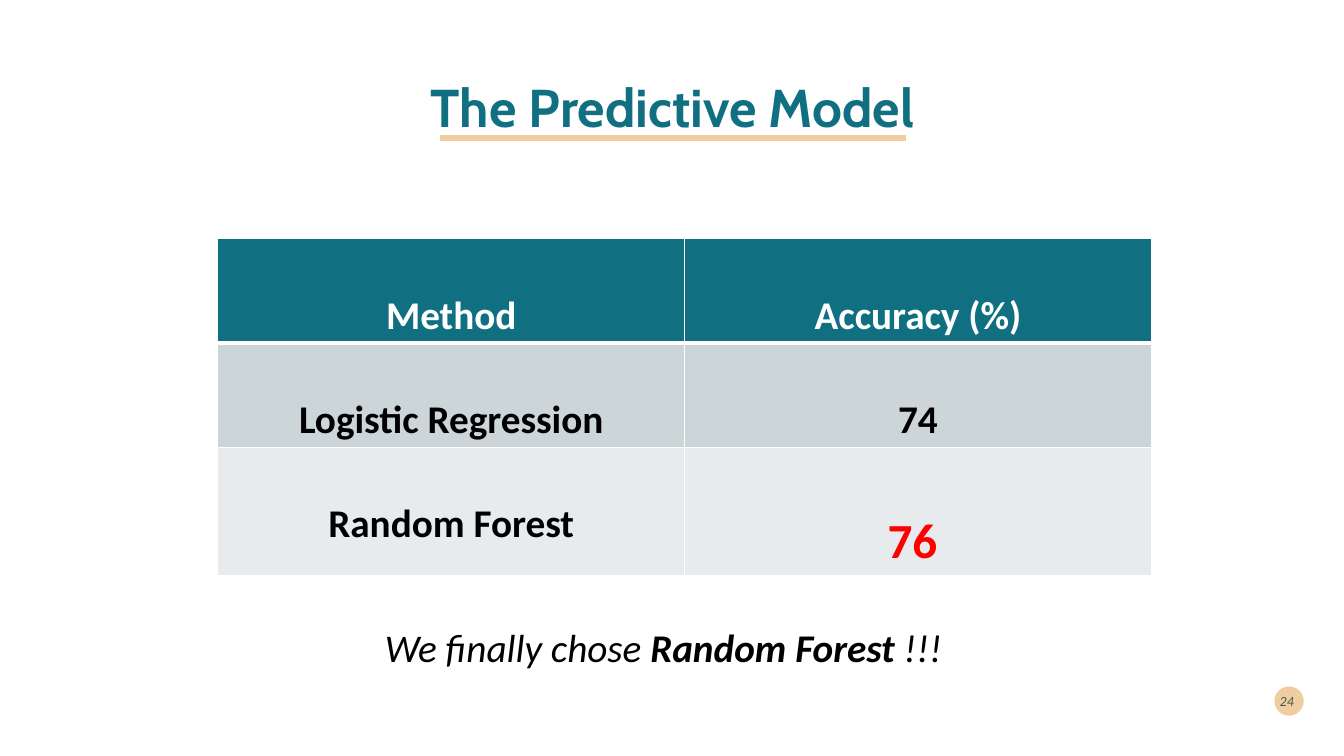
from dataclasses import dataclass

from lxml import etree
from pptx import Presentation
from pptx import util as u
from pptx.dml.color import RGBColor
from pptx.enum import shapes, text
from pptx.oxml import ns

TEAL, SAND, WHITE, BLACK, RED = "107082", "F0CDA1", "FFFFFF", "000000", "FF0000"
CENTER, RIGHT = text.PP_ALIGN.CENTER, text.PP_ALIGN.RIGHT
TOP, MIDDLE = text.MSO_ANCHOR.TOP, text.MSO_ANCHOR.MIDDLE


@dataclass(frozen=True)
class Run:
    text: str
    size: float = 28
    color: str = BLACK
    bold: bool = False
    italic: bool = False
    font: str = "Calibri"


@dataclass(frozen=True)
class TextBox:
    left: float
    top: float
    width: float
    height: float
    runs: tuple[Run, ...]
    align: text.PP_ALIGN = CENTER
    anchor: text.MSO_ANCHOR = MIDDLE
    spacing: float = 1.0


@dataclass(frozen=True)
class TableRow:
    height: float
    fill: str
    bottom_border: float
    cells: tuple[Run, ...]


TITLE = TextBox(0.92, 0.37, 11.5, 1.45,
                (Run("The Predictive Model", 38, TEAL, True, font="Cabin"),), spacing=0.9)
CONCLUSION = TextBox(1.74, 6.13, 9.68, 0.57, (
    Run("We finally chose ", italic=True),
    Run("Random Forest ", bold=True, italic=True),
    Run("!!!", italic=True),
), anchor=TOP)
PAGE_NUMBER = TextBox(12.54, 6.75, 0.39, 0.4,
                      (Run("24", 10, "00292E", italic=True),), align=RIGHT)

ROWS = (
    TableRow(0.7, TEAL, 3, (Run("Method", color=WHITE, bold=True),
                            Run("Accuracy (%)", color=WHITE, bold=True))),
    TableRow(0.96, "CCD5D8", 1, (Run("Logistic Regression", bold=True),
                                 Run("74", bold=True))),
    TableRow(0.78, "E7EBED", 1, (Run("Random Forest", bold=True),
                                 Run("76 ", 35, RED, True))),
)
COLUMN_WIDTH = 4.63


def rgb(value: str) -> RGBColor:
    return RGBColor.from_string(value)


def add_runs(paragraph, runs: tuple[Run, ...], align, spacing: float) -> None:
    paragraph.alignment = align
    paragraph.line_spacing = spacing
    for item in runs:
        run = paragraph.add_run()
        run.text = item.text
        formats = {"name": item.font, "size": u.Pt(item.size),
                   "bold": item.bold, "italic": item.italic}
        for name, value in formats.items():
            setattr(run.font, name, value)
        run.font.color.rgb = rgb(item.color)


def add_text(slide, box: TextBox):
    shape = slide.shapes.add_textbox(
        *map(u.Inches, (box.left, box.top, box.width, box.height)))
    frame = shape.text_frame
    frame.word_wrap = True
    frame.vertical_anchor = box.anchor
    add_runs(frame.paragraphs[0], box.runs, box.align, box.spacing)
    return shape


def add_page_badge(slide) -> None:
    circle = slide.shapes.add_shape(
        shapes.MSO_SHAPE.OVAL, *map(u.Inches, (12.64, 6.81, 0.29, 0.29)))
    circle.shadow.inherit = False
    circle.fill.solid()
    circle.fill.fore_color.rgb = rgb(SAND)
    circle.line.fill.background()
    number = add_text(slide, PAGE_NUMBER)
    for color in number.element.iter(ns.qn("a:srgbClr")):
        etree.SubElement(color, ns.qn("a:alpha"), val="70000")


def add_title_rule(slide) -> None:
    rule = slide.shapes.add_connector(
        shapes.MSO_CONNECTOR.STRAIGHT, *map(u.Inches, (4.36, 1.37, 8.99, 1.37)))
    rule.line.color.rgb = rgb(SAND)
    rule.line.width = u.Pt(4.32)
    etree.SubElement(rule.element.spPr, ns.qn("a:effectLst"))


def set_borders(cell, widths: dict[str, float]) -> None:
    """Draw white cell borders; widths are points, keyed L, R, T, B in that order."""
    properties = cell._tc.get_or_add_tcPr()
    for index, (side, width) in enumerate(widths.items()):
        line = etree.Element(ns.qn(f"a:ln{side}"), w=str(u.Pt(width)))
        fill = etree.SubElement(line, ns.qn("a:solidFill"))
        etree.SubElement(fill, ns.qn("a:srgbClr"), val=WHITE)
        properties.insert(index, line)


def add_accuracy_table(slide) -> None:
    columns = len(ROWS[0].cells)
    height = sum(row.height for row in ROWS)
    table = slide.shapes.add_table(
        len(ROWS), columns,
        *map(u.Inches, (2.16, 2.37, columns * COLUMN_WIDTH, height))).table
    for column in table.columns:
        column.width = u.Inches(COLUMN_WIDTH)
    top_border = 1
    for row_index, row in enumerate(ROWS):
        table.rows[row_index].height = u.Inches(row.height)
        for column_index, run in enumerate(row.cells):
            cell = table.cell(row_index, column_index)
            cell.fill.solid()
            cell.fill.fore_color.rgb = rgb(row.fill)
            set_borders(cell, {"L": 1, "R": 1, "T": top_border, "B": row.bottom_border})
            add_runs(cell.text_frame.paragraphs[0], (run,), CENTER, 2.0)
        top_border = row.bottom_border


def main() -> None:
    presentation = Presentation()
    presentation.slide_width = u.Inches(13.33)
    presentation.slide_height = u.Inches(7.5)
    slide = presentation.slides.add_slide(presentation.slide_layouts[6])
    add_page_badge(slide)
    add_text(slide, TITLE)
    add_title_rule(slide)
    add_accuracy_table(slide)
    add_text(slide, CONCLUSION)
    presentation.save("out.pptx")


if __name__ == "__main__":
    main()
